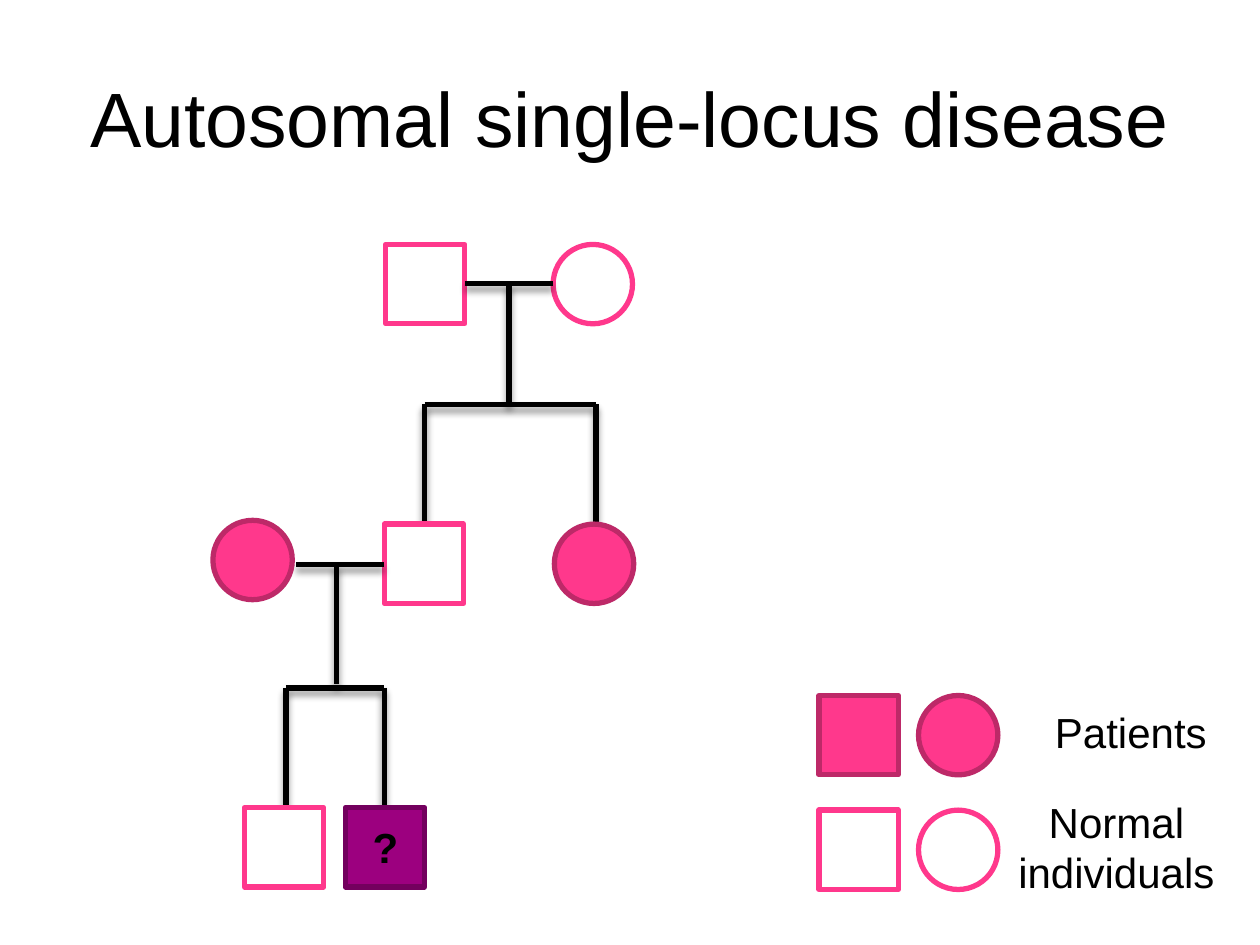
from lxml import etree
from pptx import Presentation
from pptx.dml.color import RGBColor
from pptx.enum.shapes import MSO_CONNECTOR, MSO_SHAPE
from pptx.enum.text import MSO_ANCHOR, PP_ALIGN
from pptx.oxml.ns import qn
from pptx.util import Inches, Pt

RECT, OVAL = MSO_SHAPE.RECTANGLE, MSO_SHAPE.OVAL
STRAIGHT = MSO_CONNECTOR.STRAIGHT
MIDDLE, TOP = MSO_ANCHOR.MIDDLE, MSO_ANCHOR.TOP
LEFT, CENTER = PP_ALIGN.LEFT, PP_ALIGN.CENTER

COLORS = {"black": "000000", "white": "FFFFFF", "pink": "FF388C",
          "rose": "BD2968", "purple": "9C007F", "plum": "73005E"}
# Fill and outline for each status
STATUS = {"normal": ("white", "pink"), "patient": ("pink", "rose"),
          "unknown": ("purple", "plum")}
SIDE = 0.63


def color(name):
    return RGBColor.from_string(COLORS[name])


def write(frame, text, size=24, bold=False, align=CENTER, anchor=TOP):
    frame.word_wrap = True
    frame.vertical_anchor = anchor
    para = frame.paragraphs[0]
    para.alignment = align
    run = para.add_run()
    run.text = text
    run.font.name = "Arial"
    run.font.size = Pt(size)
    run.font.bold = bold
    run.font.color.rgb = color("black")


class Chart:
    weight = Pt(3)

    def __init__(self, slide):
        self.slide = slide

    def text(self, x, y, w, h, text, **style):
        box = self.slide.shapes.add_textbox(
            Inches(x), Inches(y), Inches(w), Inches(h))
        write(box.text_frame, text, **style)

    def person(self, kind, x, y, status="normal"):
        shape = self.slide.shapes.add_shape(
            kind, Inches(x), Inches(y), Inches(SIDE), Inches(SIDE))
        fill, edge = STATUS[status]
        shape.shadow.inherit = False
        shape.fill.solid()
        shape.fill.fore_color.rgb = color(fill)
        shape.line.color.rgb = color(edge)
        shape.line.width = self.weight

    def line(self, x1, y1, x2, y2):
        line = self.slide.shapes.add_connector(
            STRAIGHT, Inches(x1), Inches(y1), Inches(x2), Inches(y2))
        line.line.color.rgb = color("black")
        line.line.width = self.weight
        # Soft shadow straight below the line
        effects = etree.SubElement(line._element.spPr, qn("a:effectLst"))
        shadow = etree.SubElement(
            effects, qn("a:outerShdw"), blurRad=str(Pt(4)), dist=str(Pt(3)),
            dir="5400000", rotWithShape="0")
        shade = etree.SubElement(shadow, qn("a:srgbClr"), val=COLORS["black"])
        etree.SubElement(shade, qn("a:alpha"), val="43000")

    def family(self, pair, stem, kids, y, end, bar, foot):
        """Join two parents, then drop from them to two children."""
        self.line(pair[0], y, pair[1], y)
        self.line(stem, y, stem, end)
        self.line(kids[0], bar, kids[1], bar)
        for x in kids:
            self.line(x, bar, x, foot)


def main():
    deck = Presentation()
    deck.slide_width, deck.slide_height = Inches(10), Inches(7.5)
    chart = Chart(deck.slides.add_slide(deck.slide_layouts[6]))

    # Title
    chart.text(0.5, 0.3, 9, 1.25, "Autosomal single-locus disease",
               size=44, anchor=MIDDLE)

    # Grandparents
    chart.person(RECT, 3.06, 1.94)
    chart.person(OVAL, 4.39, 1.94)
    chart.family((3.69, 4.39), 4.04, (3.37, 4.73), 2.25, 3.21, 3.21, 4.16)

    # Parents and aunt
    chart.person(RECT, 3.05, 4.16)
    chart.person(OVAL, 4.4, 4.16, "patient")
    chart.family((2.35, 3.05), 2.67, (2.27, 3.05), 4.48, 5.43, 5.46, 6.41)
    chart.person(OVAL, 1.69, 4.13, "patient")

    # Children
    chart.person(RECT, 1.94, 6.41)
    chart.person(RECT, 2.74, 6.41, "unknown")
    chart.text(2.86, 6.47, 0.39, 0.5, "?", bold=True, align=LEFT)

    # Legend
    for y, status in ((5.52, "patient"), (6.43, "normal")):
        chart.person(RECT, 6.5, y, status)
        chart.person(OVAL, 7.29, y, status)
    chart.text(8.15, 5.56, 1.65, 0.5, "Patients")
    chart.text(7.92, 6.27, 1.88, 0.91, "Normal individuals")

    deck.save("out.pptx")


if __name__ == "__main__":
    main()
